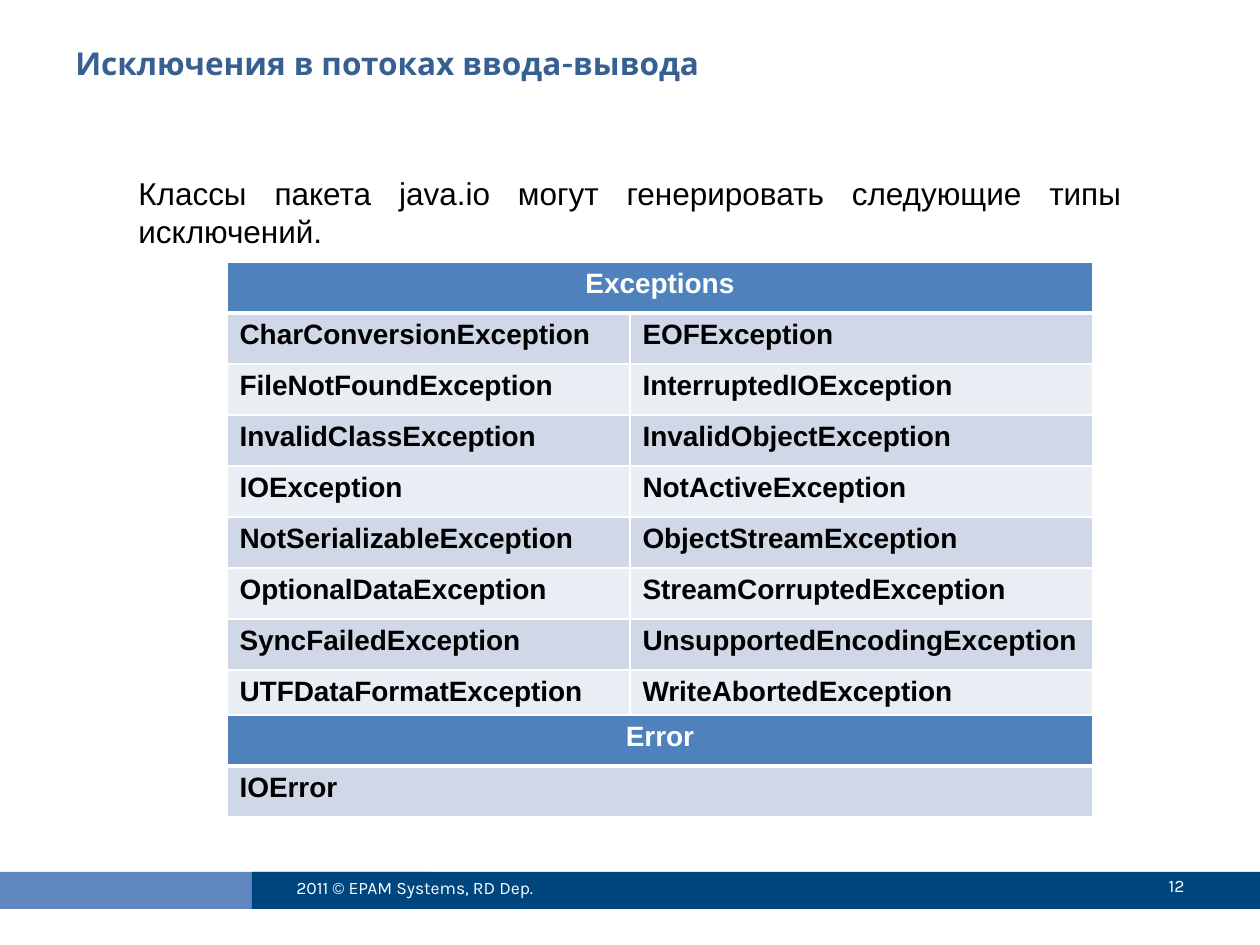
from lxml.etree import SubElement
from pptx import Presentation
from pptx.dml.color import RGBColor
from pptx.enum.shapes import MSO_SHAPE as Shape
from pptx.enum.text import MSO_ANCHOR as Anchor, PP_ALIGN as Align
from pptx.oxml.ns import qn
from pptx.util import Emu, Pt

# Content
TITLE = "Исключения в потоках ввода-вывода"
INTRO = "Классы пакета java.io могут генерировать следующие типы исключений."
COPYRIGHT = "2011 © EPAM Systems, RD Dep."
PAGE_NUMBER = "12"
EXCEPTIONS = [
    ("CharConversionException", "EOFException"),
    ("FileNotFoundException", "InterruptedIOException"),
    ("InvalidClassException", "InvalidObjectException"),
    ("IOException", "NotActiveException"),
    ("NotSerializableException", "ObjectStreamException"),
    ("OptionalDataException", "StreamCorruptedException"),
    ("SyncFailedException", "UnsupportedEncodingException"),
    ("UTFDataFormatException", "WriteAbortedException"),
]
ERRORS = [("IOError",)]

# Style
WHITE, BLACK = "FFFFFF", "000000"
HEADER_FILL = "4F81BD"
BAND_FILLS = ("D0D8E8", "E9EDF4")
TABLE_LEFT, ROW_HEIGHT = 227, 51
COLUMNS = (403, 463)


def px(length):
    return Emu(round(length * 914400 / 126))


def color(value):
    return RGBColor.from_string(value)


def style(para, font_name, size, font_color, bold=False, align=Align.LEFT):
    para.alignment = align
    font = para.font
    font.name, font.size, font.bold = font_name, Pt(size), bold
    font.color.rgb = color(font_color)


def add_band(page, left, top, width, height, fill):
    band = page.shapes.add_shape(Shape.RECTANGLE, *map(px, (left, top, width, height)))
    band.shadow.inherit = False
    band.fill.solid()
    band.fill.fore_color.rgb = color(fill)
    band.line.fill.background()


def add_text(page, area, text, *look, anchor=Anchor.TOP, **options):
    frame = page.shapes.add_textbox(*map(px, area)).text_frame
    frame.word_wrap = True
    frame.vertical_anchor = anchor
    para = frame.paragraphs[0]
    para.text = text
    style(para, *look, **options)


def set_borders(cell, top, bottom):
    properties = cell._tc.get_or_add_tcPr()
    for side, width in (("L", 1), ("R", 1), ("T", top), ("B", bottom)):
        line = SubElement(properties, qn(f"a:ln{side}"), w=str(Pt(width)))
        fill = SubElement(line, qn("a:solidFill"))
        SubElement(fill, qn("a:srgbClr"), val=WHITE)


def add_class_table(page, top, heading, body, columns):
    rows = [(heading,) + ("",) * (len(columns) - 1)] + body
    table = page.shapes.add_table(
        len(rows), len(columns), px(TABLE_LEFT), px(top),
        px(sum(columns)), px(ROW_HEIGHT * len(rows))).table
    for column, width in zip(table.columns, columns):
        column.width = px(width)
    for r, names in enumerate(rows):
        table.rows[r].height = px(ROW_HEIGHT)
        header = r == 0
        for c, name in enumerate(names):
            cell = table.cell(r, c)
            set_borders(cell, top=3 if r == 1 else 1, bottom=3 if header else 1)
            cell.fill.solid()
            cell.fill.fore_color.rgb = color(
                HEADER_FILL if header else BAND_FILLS[(r - 1) % 2])
            cell.text = name
            style(cell.text_frame.paragraphs[0], "Arial", 16,
                  WHITE if header else BLACK, bold=True,
                  align=Align.CENTER if header else Align.LEFT)
    if len(columns) > 1:
        table.cell(0, 0).merge(table.cell(0, len(columns) - 1))


def main():
    deck = Presentation()
    deck.slide_width, deck.slide_height = px(1260), px(945)
    page = deck.slides.add_slide(deck.slide_layouts[6])

    # Footer bands
    add_band(page, -2, 872, 432, 37, "6087BF")
    add_band(page, 252, 872, 1008, 37, "00467E")

    # Title and introduction
    add_text(page, (63, 38, 1134, 98), TITLE, "Karla", 18, "376092", bold=True)
    add_text(page, (126, 168, 1008, 80), INTRO, "Arial", 18, BLACK,
             align=Align.JUSTIFY)

    # Footer text
    add_text(page, (284, 863, 336, 50), COPYRIGHT, "Karla", 10, WHITE,
             anchor=Anchor.MIDDLE)
    add_text(page, (1061, 861, 136, 50), PAGE_NUMBER, "Karla", 10, WHITE,
             anchor=Anchor.MIDDLE, align=Align.RIGHT)

    # Tables
    add_class_table(page, 262, "Exceptions", EXCEPTIONS, COLUMNS)
    add_class_table(page, 715, "Error", ERRORS, (sum(COLUMNS),))

    deck.save("out.pptx")


if __name__ == "__main__":
    main()
